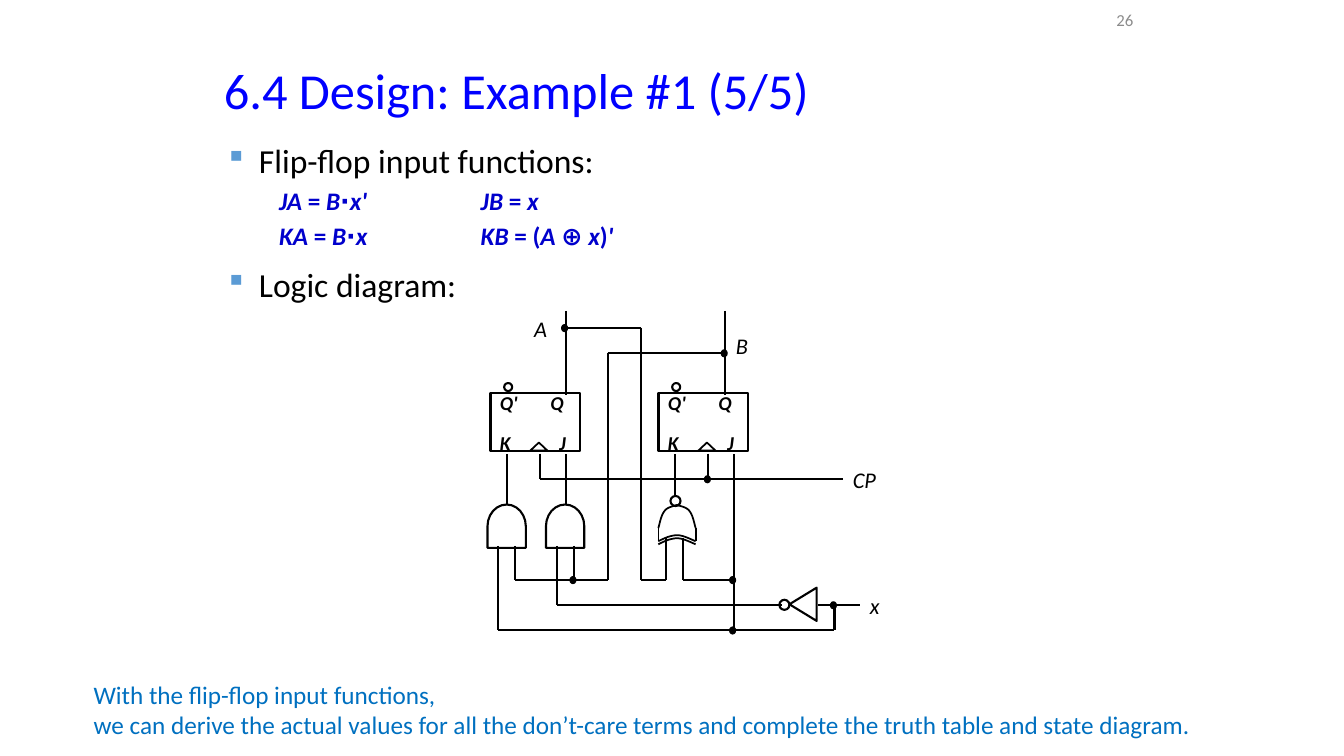
from lxml.etree import SubElement
from pptx import Presentation
from pptx.dml.color import RGBColor
from pptx.enum.shapes import MSO_CONNECTOR, MSO_SHAPE
from pptx.enum.text import MSO_ANCHOR, PP_ALIGN
from pptx.oxml.ns import qn
from pptx.util import Inches, Pt

BLACK = RGBColor(0x00, 0x00, 0x00)
WHITE = RGBColor(0xFF, 0xFF, 0xFF)
TITLE_BLUE = RGBColor(0x00, 0x00, 0xFF)
FORMULA_BLUE = RGBColor(0x00, 0x00, 0xCC)
NOTE_BLUE = RGBColor(0x00, 0x70, 0xC0)
GRAY = RGBColor(0x8C, 0x8C, 0x8C)
BULLET_BLUE = RGBColor(0x5B, 0x9B, 0xD5)

# The circuit lies on a grid with 12 columns and 12 rows to the inch.
CELL = 1 / 12
ORIGIN = 5.36
FLIP_FLOP_PITCH = 20 * CELL

presentation = Presentation()
presentation.slide_width = Inches(13.33)
presentation.slide_height = Inches(7.5)
slide = presentation.slides.add_slide(presentation.slide_layouts[5])


def add_run(paragraph, text, size, color, bold=False, italic=False):
    run = paragraph.add_run()
    run.text = text
    run.font.name = "Calibri"
    run.font.size = Pt(size)
    run.font.color.rgb = color
    run.font.bold = bold
    run.font.italic = italic


def add_outline(shape, fill=None, weight=1.5, rotation=0):
    """Give a circuit symbol a black line and an optional fill."""
    shape.shadow.inherit = False
    if fill is None:
        shape.fill.background()
    else:
        shape.fill.solid()
        shape.fill.fore_color.rgb = fill
    shape.line.color.rgb = BLACK
    shape.line.width = Pt(weight)
    shape.rotation = rotation


# Title and slide number
title = slide.shapes.title
title.left, title.top, title.width, title.height = map(Inches, (2.12, 0.57, 9.21, 0.7))
title.text_frame.vertical_anchor = MSO_ANCHOR.MIDDLE
paragraph = title.text_frame.paragraphs[0]
paragraph.alignment = PP_ALIGN.LEFT
paragraph.line_spacing = 0.9
add_run(paragraph, "6.4 Design: Example #1 (5/5)", 36, TITLE_BLUE)

number = slide.shapes.add_textbox(*map(Inches, (10.39, 0.02, 0.95, 0.36)))
number.text_frame.word_wrap = True
number.text_frame.vertical_anchor = MSO_ANCHOR.MIDDLE
paragraph = number.text_frame.paragraphs[0]
paragraph.alignment = PP_ALIGN.RIGHT
add_run(paragraph, "26", 12, GRAY)

# Bullets and input functions; formula runs are (text, italic)
body = slide.shapes.add_textbox(*map(Inches, (2.17, 1.34, 9, 1.83)))
body.text_frame.word_wrap = True
body_lines = [
    ("Flip-flop input functions:", 0),
    ([("JA", True), (" = ", False), ("B∙x'\t\tJB", True), (" = ", False), ("x", True)], 3.6),
    ([("KA", True), (" = ", False), ("B∙x\t\tKB", True), (" = (", False), ("A ", True),
      ("⊕ ", False), ("x", True), (")", False), ("'", True)], 3.6),
    ("Logic diagram:", 9.6),
]
for index, (content, space) in enumerate(body_lines):
    paragraph = body.text_frame.paragraphs[0] if index == 0 else body.text_frame.add_paragraph()
    paragraph.space_before = Pt(space)
    properties = paragraph._p.get_or_add_pPr()
    if isinstance(content, str):
        properties.set("marL", str(Inches(0.3)))
        properties.set("indent", str(-Inches(0.3)))
        bullet_color = SubElement(properties, qn("a:buClr"))
        SubElement(bullet_color, qn("a:srgbClr"), val=str(BULLET_BLUE))
        SubElement(properties, qn("a:buFont"), typeface="Wingdings", charset="2")
        SubElement(properties, qn("a:buChar"), char="§")
        add_run(paragraph, content, 24, BLACK)
    else:
        paragraph.level = 1
        properties.set("marL", str(Inches(0.5)))
        properties.set("indent", "0")
        properties.set("defTabSz", str(Inches(1)))
        for text, italic in content:
            add_run(paragraph, text, 18, FORMULA_BLUE, True, italic)

# Wires: start column, start row, end column, end row
circuit = slide.shapes.add_group_shape()
wires = [
    (3, 37, 3, 47), (22, 37, 22, 47),                        # Q outputs
    (3, 39, 12, 39), (12, 39, 12, 69), (12, 69, 15, 69),     # A feedback
    (8, 42, 22, 42), (8, 42, 8, 69), (-3, 69, 8, 69),        # B feedback
    (0, 54, 0, 57), (20, 54, 20, 57), (0, 57, 36, 57),       # clock
    (-4, 60, -4, 54), (3, 60, 3, 54), (16, 59, 16, 54),      # gate outputs
    (-5, 65, -5, 75), (-3, 65, -3, 69), (2, 65, 2, 72), (4, 65, 4, 69),
    (15, 64, 15, 69), (17, 64, 17, 69), (17, 69, 23, 69),    # gate inputs
    (23, 75, 23, 54), (-5, 75, 35, 75), (35, 72, 35, 75),    # x
    (2, 72, 28.7, 72), (33, 72, 38, 72),                     # inverter
]
lines = [(ORIGIN + c1 * CELL, r1 * CELL, ORIGIN + c2 * CELL, r2 * CELL, 1.5)
         for c1, r1, c2, r2 in wires]
lines += [(x, 5.37, x, 5.24, 1.25) for x in (6.53, 6.9)]     # sides of the XNOR gate
for *ends, weight in lines:
    wire = circuit.shapes.add_connector(MSO_CONNECTOR.STRAIGHT, *map(Inches, ends))
    wire.line.color.rgb = BLACK
    wire.line.width = Pt(weight)
    SubElement(wire._element.spPr, qn("a:effectLst"))

# Junction dots
for column, row in [(20, 57), (22, 42), (3, 39), (23, 69), (4, 69), (35, 72), (23, 75)]:
    x, y = ORIGIN + column * CELL - 0.04, row * CELL - 0.03
    dot = circuit.shapes.add_shape(MSO_SHAPE.OVAL, *map(Inches, (x, y, 0.06, 0.07)))
    add_outline(dot, BLACK, 0.75)

# Flip-flops
labels = [("x", 8.53, 5.83, 0.3, 16), ("B", 7.2, 3.25, 0.32, 16),
          ("A", 5.2, 3.08, 0.33, 16), ("CP", 8.36, 4.58, 0.44, 16)]
for shift in (0, FLIP_FLOP_PITCH):
    for kind, left, top, width, height, fill, weight, rotation in [
        (MSO_SHAPE.RECTANGLE, 5.02, 3.74, 0.58, 0.89, None, 1.5, 270),
        (MSO_SHAPE.ISOSCELES_TRIANGLE, 5.26, 4.39, 0.17, 0.08, None, 1.25, 0),
        (MSO_SHAPE.OVAL, 5.0, 3.8, 0.08, 0.08, WHITE, 1.5, 0),
    ]:
        part = circuit.shapes.add_shape(kind, *map(Inches, (left + shift, top, width, height)))
        add_outline(part, fill, weight, rotation)
    labels += [(text, left + shift, top, width, 14) for text, left, top, width in [
        ("J", 5.45, 4.23, 0.27), ("Q", 5.36, 3.83, 0.34),
        ("Q'", 4.86, 3.83, 0.42), ("K", 4.86, 4.23, 0.31)]]

for text, left, top, width, size in labels:
    height = 0.37 if size == 16 else 0.34
    label = circuit.shapes.add_textbox(*map(Inches, (left, top, width, height)))
    label.text_frame.word_wrap = False
    add_run(label.text_frame.paragraphs[0], text, size, BLACK, size == 14, True)

# AND gates, inverter and bubbles
for kind, *box in [
    (MSO_SHAPE.FLOWCHART_DELAY, 4.81, 5.03, 0.43, 0.38),
    (MSO_SHAPE.FLOWCHART_DELAY, 5.39, 5.03, 0.43, 0.38),
    (MSO_SHAPE.FLOWCHART_EXTRACT, 7.8, 5.86, 0.33, 0.27),
    (MSO_SHAPE.OVAL, 7.73, 5.95, 0.1, 0.1),
    (MSO_SHAPE.OVAL, 6.65, 4.92, 0.1, 0.1),
]:
    add_outline(circuit.shapes.add_shape(kind, *map(Inches, box)), rotation=270)

# XNOR gate: each curve is a chain of cubic Bézier segments
base = [(6.53, 5.37), (6.59, 5.34), (6.65, 5.31), (6.72, 5.31),
        (6.78, 5.31), (6.87, 5.36), (6.9, 5.37)]
left_side = [(6.53, 5.24), (6.55, 5.17), (6.56, 5.1), (6.6, 5.06),
             (6.63, 5.03), (6.68, 5.02), (6.73, 5.01)]
right_side = [(13.43 - x, y) for x, y in left_side]
second_base = [(x, y + 0.03) for x, y in base]
for curve in (base, second_base, left_side, right_side):
    points = []
    for first in range(0, len(curve) - 1, 3):
        segment = curve[first:first + 4]
        for step in range(9):
            t = step / 8
            weights = ((1 - t) ** 3, 3 * t * (1 - t) ** 2, 3 * t ** 2 * (1 - t), t ** 3)
            points.append([Inches(sum(w * point[axis] for w, point in zip(weights, segment)))
                           for axis in (0, 1)])
    builder = circuit.shapes.build_freeform(*points[0])
    builder.add_line_segments(points[1:], close=False)
    add_outline(builder.convert_to_shape(), weight=1.25)

# Closing note
note = slide.shapes.add_textbox(*map(Inches, (0.83, 6.69, 12.14, 0.71)))
note.text_frame.word_wrap = True
add_run(note.text_frame.paragraphs[0], "With the flip-flop input functions,", 18, NOTE_BLUE)
add_run(note.text_frame.add_paragraph(),
        "we can derive the actual values for all the don’t-care terms and complete "
        "the truth table and state diagram.", 18, NOTE_BLUE)

presentation.save("out.pptx")
